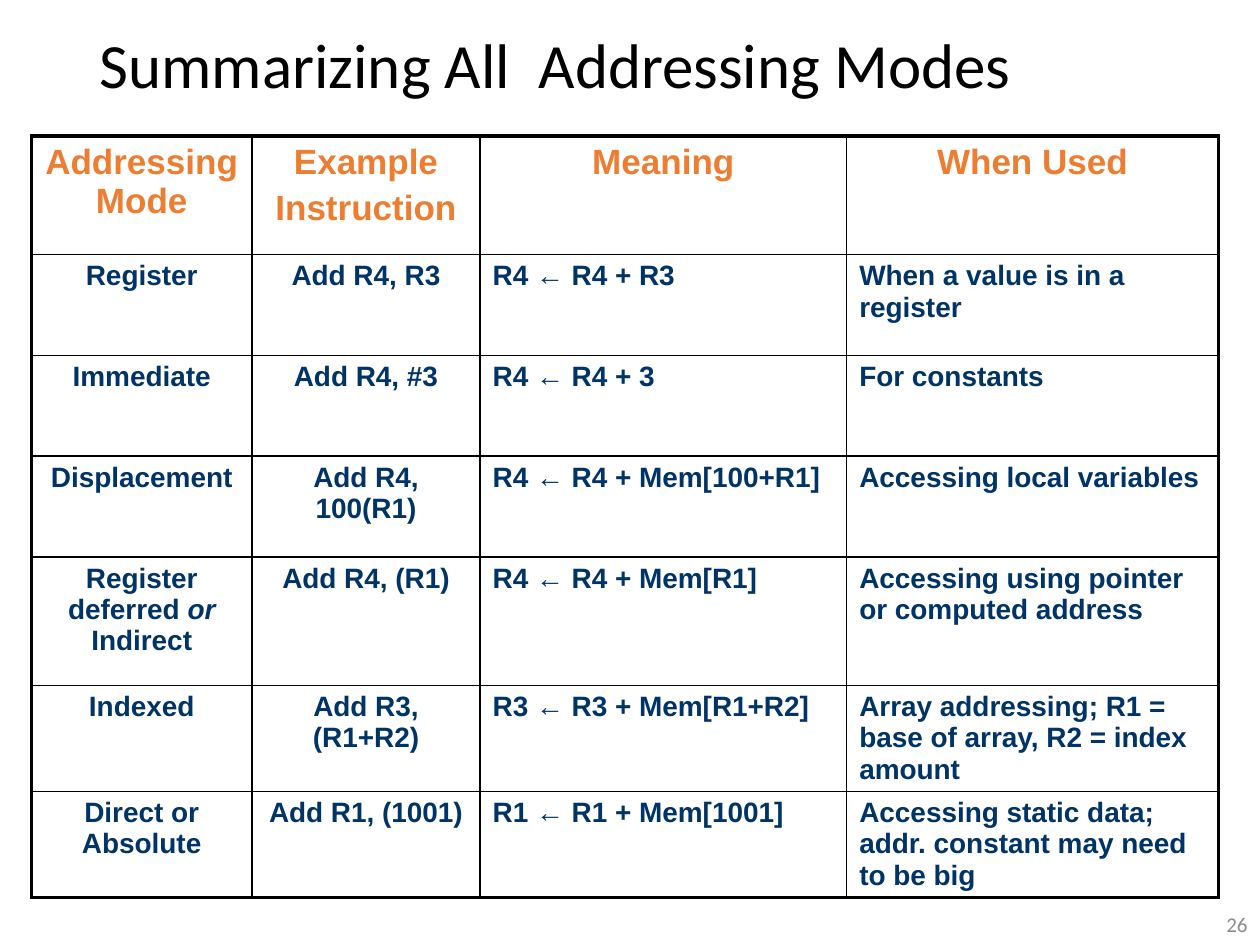
"""Build the slide that summarizes all addressing modes in a table."""
from dataclasses import dataclass

from lxml import etree
from pptx import Presentation
from pptx.dml.color import RGBColor
from pptx.enum.text import MSO_ANCHOR, PP_ALIGN
from pptx.oxml.ns import qn
from pptx.util import Inches, Pt

LEFT, CENTER, RIGHT = PP_ALIGN.LEFT, PP_ALIGN.CENTER, PP_ALIGN.RIGHT
MIDDLE = MSO_ANCHOR.MIDDLE
TITLE_ONLY = 5

COLORS = {
    "title": "000000",
    "header": "ED7D31",
    "body": "003366",
    "border": "000000",
    "number": "8C8C8C",
}
FORMATS = {
    "title": {"name": "Calibri", "size": Pt(36), "bold": False},
    "header": {"name": "Arial", "size": Pt(20), "bold": True},
    "body": {"name": "Arial", "size": Pt(16), "bold": True},
    "number": {"name": "Calibri", "size": Pt(12), "bold": False},
}
COLUMN_WIDTHS = (1.75, 1.81, 2.91, 2.95)
COLUMN_ALIGNMENTS = (CENTER, CENTER, LEFT, LEFT)
HEADER_HEIGHT = 0.94
HEADERS = ("Addressing Mode", "Example\nInstruction", "Meaning", "When Used")
OUTER_BORDER, INNER_BORDER = Pt(2.25), Pt(1)


@dataclass(frozen=True)
class AddressingMode:
    """One body row of the table."""

    name: str
    example: str
    meaning: str
    usage: str
    height: float = 0.8


MODES = (
    AddressingMode("Register", "Add R4, R3", "R4 ← R4 + R3", "When a value is in a register"),
    AddressingMode("Immediate", "Add R4, #3", "R4 ← R4 + 3", "For constants"),
    AddressingMode("Displacement", "Add R4, 100(R1)", "R4 ← R4 + Mem[100+R1]",
                   "Accessing local variables"),
    AddressingMode("Register deferred *or* Indirect", "Add R4, (R1)", "R4 ← R4 + Mem[R1]",
                   "Accessing using pointer or computed address", 1.02),
    AddressingMode("Indexed", "Add R3, (R1+R2)", "R3 ← R3 + Mem[R1+R2]",
                   "Array addressing; R1 = base of array, R2 = index amount"),
    AddressingMode("Direct or Absolute", "Add R1, (1001)", "R1 ← R1 + Mem[1001]",
                   "Accessing static data; addr. constant may need to be big"),
)


def place(shape, left: float, top: float, width: float, height: float) -> None:
    """Move and size a shape in inches."""
    box = {"left": left, "top": top, "width": width, "height": height}
    for attribute, value in box.items():
        setattr(shape, attribute, Inches(value))


def write_text(text_frame, text: str, role: str, alignment: PP_ALIGN) -> None:
    """Write lines as paragraphs, with text between asterisks in italics."""
    for index, line in enumerate(text.split("\n")):
        paragraph = text_frame.add_paragraph() if index else text_frame.paragraphs[0]
        paragraph.alignment = alignment
        if index:
            paragraph.space_before = Pt(4)
        for part_index, part in enumerate(line.split("*")):
            run = paragraph.add_run()
            run.text = part
            for attribute, value in FORMATS[role].items():
                setattr(run.font, attribute, value)
            run.font.italic = part_index % 2 == 1
            run.font.color.rgb = RGBColor.from_string(COLORS[role])


def set_borders(cell, widths: dict[str, int]) -> None:
    """Draw the cell's four solid borders."""
    properties = cell._tc.get_or_add_tcPr()
    for tag, width in widths.items():
        line = etree.SubElement(properties, qn(f"a:{tag}"), w=str(width))
        fill = etree.SubElement(line, qn("a:solidFill"))
        etree.SubElement(fill, qn("a:srgbClr"), val=COLORS["border"])


def add_mode_table(slide) -> None:
    """Add the table of addressing modes."""
    rows = [HEADERS] + [(mode.name, mode.example, mode.meaning, mode.usage) for mode in MODES]
    heights = [HEADER_HEIGHT] + [mode.height for mode in MODES]
    last_row, last_column = len(rows) - 1, len(HEADERS) - 1
    table = slide.shapes.add_table(
        len(rows), len(HEADERS), Inches(0.25), Inches(1.08),
        Inches(sum(COLUMN_WIDTHS)), Inches(sum(heights)),
    ).table
    table.first_row = table.horz_banding = False
    for column, width in zip(table.columns, COLUMN_WIDTHS):
        column.width = Inches(width)
    for row_index, (texts, height) in enumerate(zip(rows, heights)):
        table.rows[row_index].height = Inches(height)
        for column_index, text in enumerate(texts):
            cell = table.cell(row_index, column_index)
            edges = {
                "lnL": column_index == 0,
                "lnR": column_index == last_column,
                "lnT": row_index == 0,
                "lnB": row_index == last_row,
            }
            set_borders(cell, {tag: OUTER_BORDER if outer else INNER_BORDER
                               for tag, outer in edges.items()})
            cell.fill.background()
            role = "body" if row_index else "header"
            alignment = COLUMN_ALIGNMENTS[column_index] if row_index else CENTER
            write_text(cell.text_frame, text, role, alignment)


def add_title(slide) -> None:
    """Fill and place the title placeholder."""
    title = slide.shapes.title
    place(title, 0.69, 0, 9.17, 1.08)
    title.text_frame.vertical_anchor = MIDDLE
    write_text(title.text_frame, "Summarizing All  Addressing Modes", "title", LEFT)
    title.text_frame.paragraphs[0].line_spacing = 0.9


def add_slide_number(slide) -> None:
    """Add the slide number in the bottom right corner."""
    number = slide.shapes.add_textbox(0, 0, 0, 0)
    place(number, 7.92, 7.17, 2.08, 0.33)
    number.text_frame.word_wrap = True
    number.text_frame.vertical_anchor = MIDDLE
    write_text(number.text_frame, "26", "number", RIGHT)


def main() -> None:
    """Build and save the presentation."""
    presentation = Presentation()
    presentation.slide_width, presentation.slide_height = Inches(10), Inches(7.5)
    slide = presentation.slides.add_slide(presentation.slide_layouts[TITLE_ONLY])
    add_title(slide)
    add_mode_table(slide)
    add_slide_number(slide)
    presentation.save("out.pptx")


if __name__ == "__main__":
    main()
